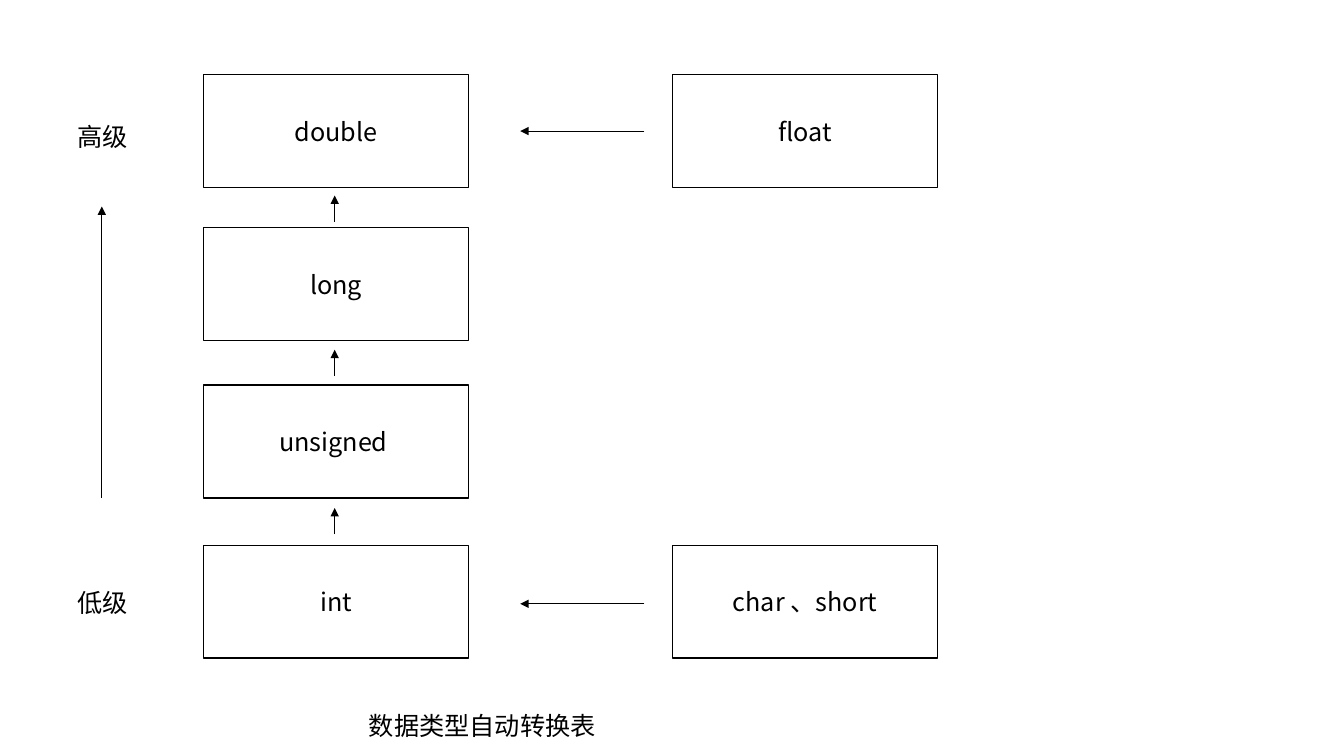
"""Build a slide showing automatic conversion between C data types."""
from dataclasses import dataclass

from lxml.etree import SubElement
from pptx import Presentation
from pptx.dml.color import RGBColor
from pptx.enum.shapes import MSO_CONNECTOR as Connector, MSO_SHAPE as Shape
from pptx.enum.text import MSO_ANCHOR as Anchor, MSO_AUTO_SIZE as AutoSize, PP_ALIGN as Align
from pptx.oxml.ns import qn
from pptx.util import Inches, Pt


@dataclass(frozen=True)
class Theme:
    font: str = "Noto Sans CJK SC"
    size: int = 18
    ink: RGBColor = RGBColor(0, 0, 0)
    paper: RGBColor = RGBColor(255, 255, 255)
    border: float = 1
    arrow: float = 0.5


THEME = Theme()
MAIN_LEFT, SIDE_LEFT = 2.02, 6.67
BOX_WIDTH, BOX_HEIGHT = 2.63, 1.12
MAIN_TYPES = [("double", 0.74), ("long", 2.26), ("unsigned ", 3.82), ("int", 5.41)]
SIDE_TYPES = [("float", 0.74), ("char 、short", 5.41)]
LABELS = [
    ("高级", 0.67, 1.15, 0.71, False),
    ("低级", 0.67, 5.78, 0.71, False),
    ("数据类型自动转换表", 3.56, 7, 3.19, True),
]
LABEL_HEIGHT = 0.4
SIDE_ARROW_ENDS = (6.39, 5.16)
SIDE_ARROW_ROWS = [1.3, 5.99]
LEVEL_ARROW = (1.01, 4.94, 1.01, 2.05)
STEP_X, STEP_LENGTH = 3.32, 0.26
STEP_TIPS = [1.94, 3.47, 5.04]


def write(para, text):
    span = para.add_run()
    span.text = text
    span.font.name = THEME.font
    span.font.size = Pt(THEME.size)
    span.font.color.rgb = THEME.ink
    SubElement(span.font._element, qn("a:ea"), typeface=THEME.font)


def add_type(page, text, left, top):
    box = page.shapes.add_shape(
        Shape.RECTANGLE, Inches(left), Inches(top), Inches(BOX_WIDTH), Inches(BOX_HEIGHT))
    box.shadow.inherit = False
    box.fill.solid()
    box.fill.fore_color.rgb = THEME.paper
    box.line.color.rgb = THEME.ink
    box.line.width = Pt(THEME.border)
    box.text_frame.vertical_anchor = Anchor.MIDDLE
    para = box.text_frame.paragraphs[0]
    para.alignment = Align.CENTER
    write(para, text)


def add_label(page, text, left, top, width, wrap):
    box = page.shapes.add_textbox(
        Inches(left), Inches(top), Inches(width), Inches(LABEL_HEIGHT))
    box.text_frame.word_wrap = wrap
    box.text_frame.auto_size = AutoSize.SHAPE_TO_FIT_TEXT
    write(box.text_frame.paragraphs[0], text)


def add_arrow(page, *ends):
    arrow = page.shapes.add_connector(Connector.STRAIGHT, *map(Inches, ends))
    arrow.line.color.rgb = THEME.ink
    arrow.line.width = Pt(THEME.arrow)
    SubElement(arrow.line._get_or_add_ln(), qn("a:tailEnd"), type="triangle")
    SubElement(arrow._element.spPr, qn("a:effectLst"))


deck = Presentation()
deck.slide_width, deck.slide_height = Inches(13.33), Inches(7.5)
page = deck.slides.add_slide(deck.slide_layouts[6])

for left, types in ((MAIN_LEFT, MAIN_TYPES), (SIDE_LEFT, SIDE_TYPES)):
    for text, top in types:
        add_type(page, text, left, top)
for label in LABELS:
    add_label(page, *label)
start, end = SIDE_ARROW_ENDS
for row in SIDE_ARROW_ROWS:
    add_arrow(page, start, row, end, row)
add_arrow(page, *LEVEL_ARROW)
for tip in STEP_TIPS:
    add_arrow(page, STEP_X, tip + STEP_LENGTH, STEP_X, tip)

deck.save("out.pptx")
